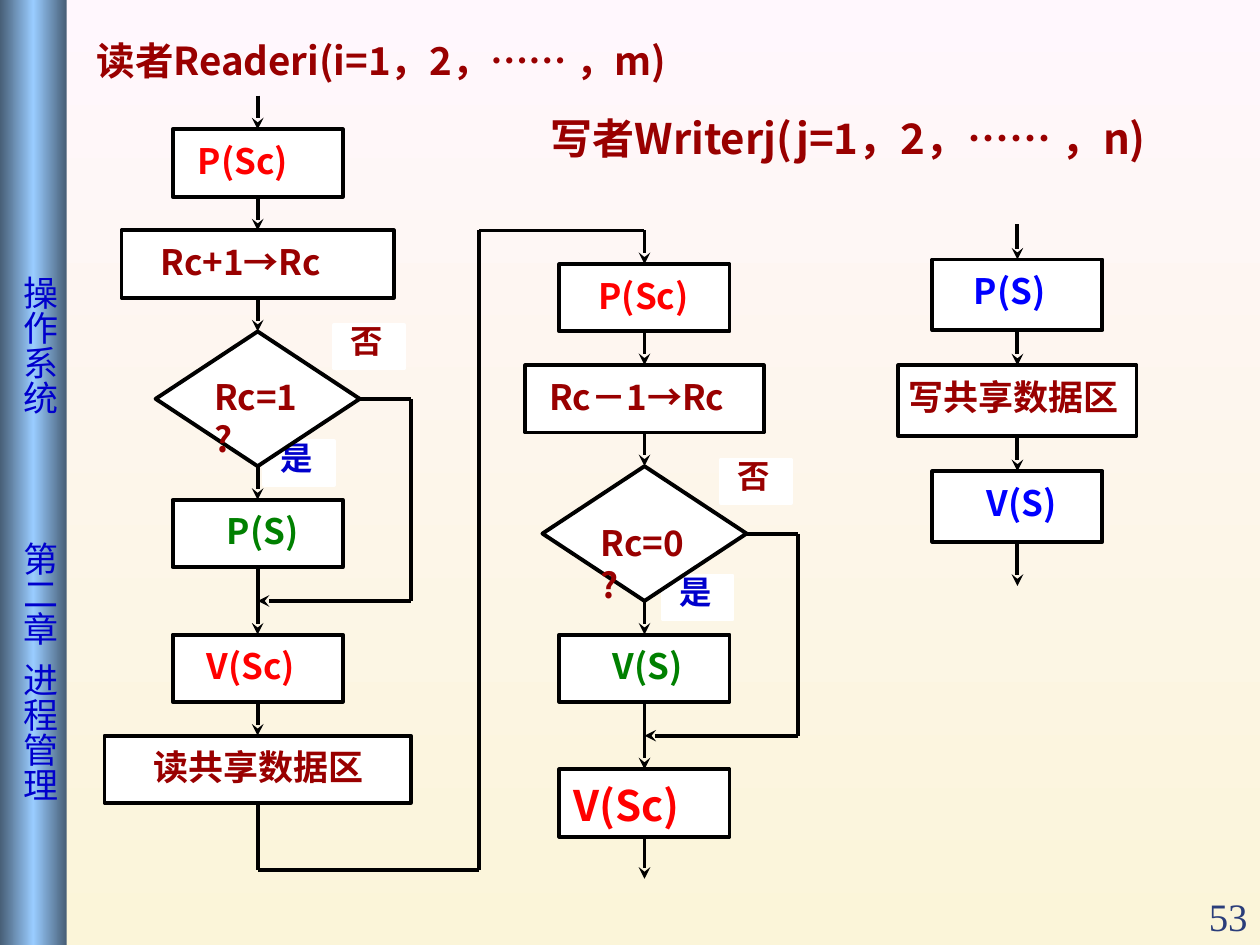
from collections import namedtuple
from copy import deepcopy

from lxml import etree
from pptx import Presentation
from pptx import util as u
from pptx.dml.color import RGBColor
from pptx.enum import shapes, text
from pptx.oxml.ns import qn

WIDTH, HEIGHT = 10, 7.5
SANS, SERIF = "Noto Sans CJK SC", "Times New Roman"
COLORS = {
    "sky": "FFF7FD", "sand": "FBF5D9", "steel": "475E76", "ice": "99CCFF",
    "white": "FFFFFF", "black": "000000", "maroon": "990000", "red": "FF0000",
    "green": "008000", "blue": "0000FF", "navy": "0000CC", "slate": "2A3D7A",
}
LANE_COLUMNS = 9
CENTRE = LANE_COLUMNS / 2

Step = namedtuple("Step", "label row columns color indent size", defaults=[20])
Decision = namedtuple("Decision", "label row yes_column top_inset")


class Lane:
    """Grid of columns and rows that holds one flow."""

    def __init__(self, left, top, column, row):
        self.left, self.top, self.column, self.row = left, top, column, row

    def point(self, column, row):
        """Return the slide position of a grid point."""
        return u.Inches(self.left + column * self.column), u.Inches(self.top + row * self.row)

    def box(self, column, row, columns, rows):
        """Return left, top, width and height of a block of cells."""
        return *self.point(column, row), u.Inches(columns * self.column), u.Inches(rows * self.row)


def rgb(name):
    """Look up a named colour."""
    return RGBColor.from_string(COLORS[name])


def share(left, top, width, height):
    """Turn shares of the slide's size into a box."""
    return (u.Inches(left * WIDTH), u.Inches(top * HEIGHT),
            u.Inches(width * WIDTH), u.Inches(height * HEIGHT))


def write(shape, words, size, color, font=SANS, bold=False, align="LEFT", anchor="TOP",
          insets=(0.1, 0.05, 0.1, 0.05), spacing=1, wrap=True, tabs=()):
    """Put one formatted paragraph into a shape."""
    frame = shape.text_frame
    frame.word_wrap = wrap
    frame.vertical_anchor = getattr(text.MSO_ANCHOR, anchor)
    frame.margin_left, frame.margin_top, frame.margin_right, frame.margin_bottom = map(u.Inches, insets)
    paragraph = frame.paragraphs[0]
    paragraph.alignment = getattr(text.PP_ALIGN, align)
    paragraph.line_spacing = spacing
    if tabs:
        stops = etree.SubElement(paragraph._p.get_or_add_pPr(), qn("a:tabLst"))
        for stop in tabs:
            etree.SubElement(stops, qn("a:tab"), pos=str(u.Inches(stop)), algn="l")
    run = paragraph.add_run()
    run.text = words
    run.font.size, run.font.bold, run.font.name = u.Pt(size), bold, font
    run.font.color.rgb = rgb(color)
    etree.SubElement(run._r.get_or_add_rPr(), qn("a:ea"), typeface=font)


def block(slide, kind, box, outline="black"):
    """Add a white shape with an outline."""
    shape = slide.shapes.add_shape(kind, *box)
    shape.shadow.inherit = False
    shape.fill.solid()
    shape.fill.fore_color.rgb = rgb("white")
    shape.line.color.rgb = rgb(outline)
    shape.line.width = u.Pt(2.25)
    return shape


def line(slide, start, end, arrow=False, source=None, target=None, side=2):
    """Draw a straight line, joined to the shapes it leaves and enters."""
    link = slide.shapes.add_connector(shapes.MSO_CONNECTOR.STRAIGHT, *start, *end)
    link.line.color.rgb = rgb("black")
    link.line.width = u.Pt(2.25)
    if source is not None:
        link.begin_connect(source, side)
    if target is not None:
        link.end_connect(target, 0)
    properties = link._element.spPr
    if arrow:
        etree.SubElement(link.line._get_or_add_ln(), qn("a:tailEnd"), type="stealth")
    etree.SubElement(properties, qn("a:effectLst"))


def decision_labels(slide, lane, decision):
    """Place the no and yes labels beside a decision."""
    for words, column, offset, color in (("否", 6.75, -0.2, "maroon"),
                                         ("是", decision.yes_column, 3.25, "navy")):
        label = block(slide, shapes.MSO_SHAPE.RECTANGLE,
                      lane.box(column, decision.row + offset, 2.05, 1.3), "white")
        write(label, words, 18.5, color, bold=True, spacing=0.9, insets=(0.13, 0.01, 0.06, 0.01))


def bypass(slide, lane, decision, diamond):
    """Lead the no branch around the next step."""
    middle, joint = decision.row + 2, decision.row + 8
    corner, turn = lane.point(LANE_COLUMNS, middle), lane.point(LANE_COLUMNS, joint)
    line(slide, lane.point(CENTRE + 3, middle), corner, source=diamond, side=3)
    line(slide, corner, turn)
    line(slide, turn, lane.point(CENTRE, joint), arrow=True)


def flow(slide, lane, parts, entry=None, leave=None):
    """Draw the steps of a lane from top to bottom and link them."""
    previous, start = None, lane.point(CENTRE, entry)
    for part in parts:
        if isinstance(part, Decision):
            decision_labels(slide, lane, part)
            shape = block(slide, shapes.MSO_SHAPE.FLOWCHART_DECISION,
                          lane.box(CENTRE - 3, part.row, 6, 4))
            write(shape, part.label, 20, "maroon", bold=True,
                  insets=(0.06, part.top_inset, 0.06, 0))
            bypass(slide, lane, part, shape)
        else:
            shape = block(slide, shapes.MSO_SHAPE.RECTANGLE,
                          lane.box(CENTRE - part.columns / 2, part.row, part.columns, 2))
            write(shape, part.label, part.size, part.color, bold=True,
                  insets=(part.indent, 0.08, 0, 0.01))
        line(slide, start, lane.point(CENTRE, part.row), True, previous, shape)
        previous, start = shape, lane.point(CENTRE, part.row + 2)
    if leave:
        line(slide, start, lane.point(CENTRE, leave), True, previous)
    return previous


def handover(slide, reader, release, last):
    """Lead the end of the reader lane to the top of the release lane."""
    corners = [reader.point(CENTRE, 21), reader.point(CENTRE, 23), reader.point(11, 23),
               reader.point(11, 4), release.point(CENTRE, 4)]
    for index, (start, end) in enumerate(zip(corners, corners[1:])):
        line(slide, start, end, source=None if index else last)


def sidebar(slide, box):
    """Draw the vertical band with the course and chapter."""
    band = slide.shapes.add_shape(shapes.MSO_SHAPE.RECTANGLE, *box)
    band.shadow.inherit = False
    band.line.fill.background()
    band.fill.gradient()
    band.fill.gradient_angle = 0
    first = band.fill.gradient_stops[0]._gs
    first.addnext(deepcopy(first))
    for stop, position, color in zip(band.fill.gradient_stops, (0, 0.5, 1), ("steel", "ice", "steel")):
        stop.position, stop.color.rgb = position, rgb(color)
    write(band, "操作系统\t第二章\t进程管理", 20, "navy", insets=(0.05, 2.19, 0.05, 0.1), tabs=(2.11, 3.07))
    band.text_frame._txBody.bodyPr.set("vert", "eaVert")


def caption(slide, box, words, size, color, **style):
    """Add a text box."""
    write(slide.shapes.add_textbox(*box), words, size, color, **style)


def main():
    """Build and save the reader and writer flow slide."""
    deck = Presentation()
    deck.slide_width, deck.slide_height = u.Inches(WIDTH), u.Inches(HEIGHT)
    slide = deck.slides.add_slide(deck.slide_layouts[6])
    backdrop = slide.background.fill
    backdrop.gradient()
    backdrop.gradient_angle = 270
    for stop, color in zip(backdrop.gradient_stops, ("sky", "sand")):
        stop.color.rgb = rgb(color)

    sidebar(slide, share(0, 0, 0.053, 1))
    caption(slide, share(0.9, 0.935, 0.1, 0.066), "53", 22.2, "slate", font=SERIF,
            align="RIGHT", anchor="BOTTOM", spacing=0.9)
    caption(slide, share(0.067, 0.028, 0.473, 0.121), "读者Readeri(i=1，2，…… ，m)", 22, "maroon",
            bold=True, align="JUSTIFY", spacing=1.1)
    caption(slide, share(0.437, 0.112, 0.558, 0.067), "写者Writerj(j=1，2，…… ，n)", 24, "maroon",
            bold=True, anchor="MIDDLE", wrap=False, insets=(0, 0.05, 0.1, 0.05))

    reader = Lane(0.83, 0.76, 0.27, 0.27 * 0.99)
    release = Lane(3.9, 0.76, 0.27, 0.27 * 0.99)
    writer = Lane(6.86, 1.78, 0.27, 0.28)
    last = flow(slide, reader, [
        Step("P(Sc)", 1, 5, "red", 0.2), Step("Rc+1→Rc", 4, 8, "maroon", 0.31),
        Decision("Rc=1?", 7, 4.7, 0.08), Step("P(S)", 12, 5, "green", 0.43),
        Step("V(Sc)", 16, 5, "red", 0.27), Step("读共享数据区", 19, 9, "maroon", 0.39)], entry=0)
    handover(slide, reader, release, last)
    flow(slide, release, [
        Step("P(Sc)", 5, 5, "red", 0.31), Step("Rc－1→Rc", 8, 7, "maroon", 0.19),
        Decision("Rc=0?", 11, 5.04, 0.17), Step("V(S)", 16, 5, "green", 0.42),
        Step("V(Sc)", 20, 5, "red", 0.11, 24)], entry=4, leave=23.25)
    flow(slide, writer, [
        Step("P(S)", 1, 5, "blue", 0.33), Step("写共享数据区", 4, 7, "maroon", 0.08),
        Step("V(S)", 7, 5, "blue", 0.43)], entry=0, leave=10.25)
    deck.save("out.pptx")


if __name__ == "__main__":
    main()
